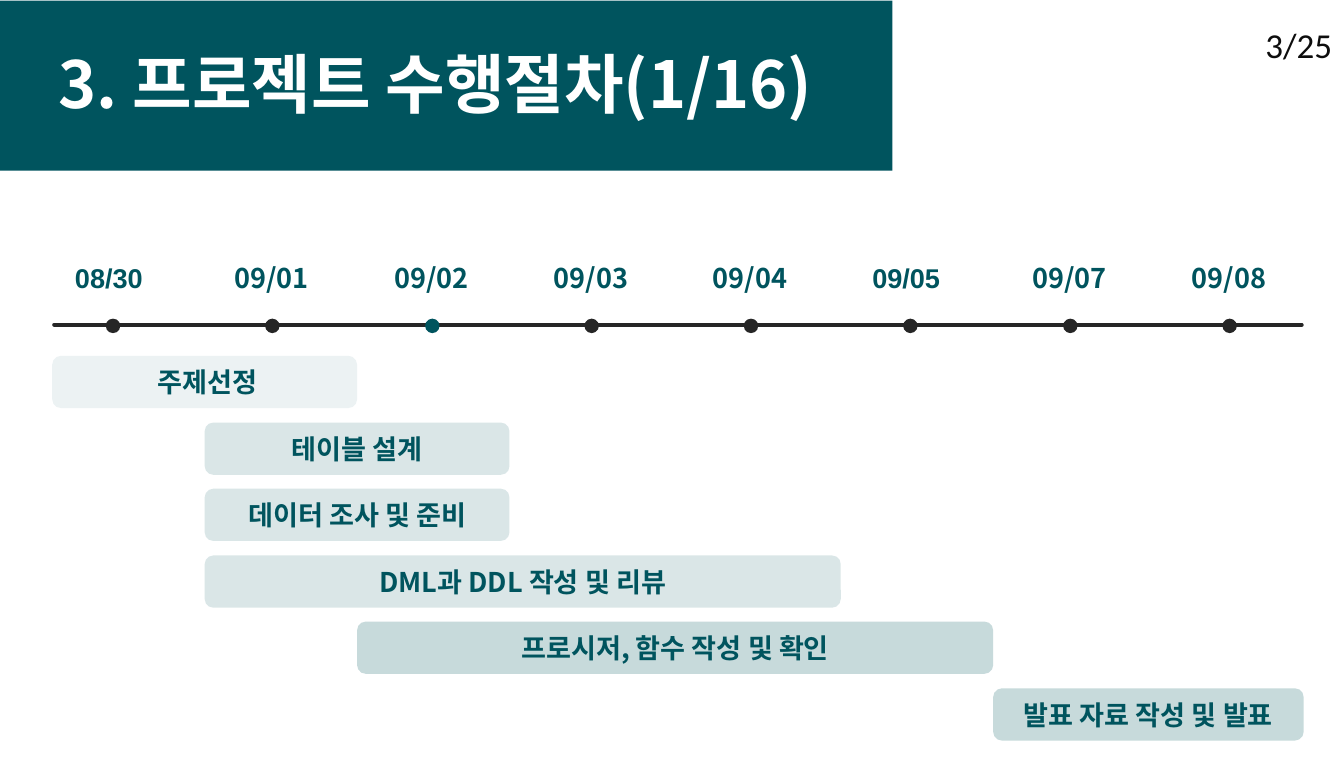
from lxml import etree
from pptx import Presentation
from pptx.dml.color import RGBColor
from pptx.enum.shapes import MSO_SHAPE
from pptx.enum.text import MSO_ANCHOR, PP_ALIGN
from pptx.oxml.ns import qn
from pptx.util import Pt

PX = 9144  # EMU per px, 100 px to the inch
RECT, ROUNDED, OVAL = MSO_SHAPE.RECTANGLE, MSO_SHAPE.ROUNDED_RECTANGLE, MSO_SHAPE.OVAL
LEFT, CENTER, RIGHT = PP_ALIGN.LEFT, PP_ALIGN.CENTER, PP_ALIGN.RIGHT
TOP, MIDDLE = MSO_ANCHOR.TOP, MSO_ANCHOR.MIDDLE

TEAL, BAR_TEAL, DARK, WHITE, INK = "00545E", "46858A", "262626", "FFFFFF", "0D0D0D"
NOTO, ARIAL, CALIBRI = "Noto Sans CJK KR", "Arial", "Calibri"

# Date, font, label width, dot colour
DATES = [
    ("08/30", ARIAL, 109, DARK),
    ("09/01", NOTO, 119, DARK),
    ("09/02", NOTO, 119, TEAL),
    ("09/03", NOTO, 119, DARK),
    ("09/04", NOTO, 119, DARK),
    ("09/05", ARIAL, 109, DARK),
    ("09/07", NOTO, 119, DARK),
    ("09/08", NOTO, 119, DARK),
]
FIRST_DOT, LAST_DOT = 168, 1941

# Task, left, width, opacity in percent
TASKS = [
    (" 주제선정", 83, 484, 10),
    ("테이블 설계", 325, 484, 20),
    ("데이터 조사 및 준비", 325, 484, 20),
    ("DML과 DDL 작성 및 리뷰", 325, 1010, 20),
    ("프로시저, 함수 작성 및 확인", 567, 1010, 30),
    ("발표 자료 작성 및 발표", 1577, 493, 30),
]
FIRST_BAR, LAST_BAR = 565, 1093


def color(hex_code):
    return RGBColor.from_string(hex_code)


def spread(first, last, index, count):
    """Place one of count evenly spaced items."""
    return round(first + (last - first) * index / (count - 1))


def write(frame, text, size, font, hex_code, bold=True, align=LEFT, anchor=TOP):
    frame.vertical_anchor = anchor
    paragraph = frame.paragraphs[0]
    paragraph.alignment = align
    run = paragraph.add_run()
    run.text = text
    run.font.size = Pt(size)
    run.font.bold = bold
    run.font.name = font
    run.font.color.rgb = color(hex_code)
    east_asian = etree.SubElement(run.font._element, qn("a:ea"))
    east_asian.set("typeface", font)


def add_block(slide, kind, left, top, width, height, fill, opacity=100):
    block = slide.shapes.add_shape(kind, left * PX, top * PX, width * PX, height * PX)
    block.shadow.inherit = False
    block.line.fill.background()
    block.fill.solid()
    block.fill.fore_color.rgb = color(fill)
    if opacity < 100:
        rgb = block.fill._xPr.find(qn("a:solidFill"))[0]
        etree.SubElement(rgb, qn("a:alpha")).set("val", str(opacity * 1000))
    return block


def add_label(slide, left, top, width, height, wrap=True, inset=True):
    box = slide.shapes.add_textbox(left * PX, top * PX, width * PX, height * PX)
    frame = box.text_frame
    frame.word_wrap = wrap
    if not inset:
        frame.margin_left = frame.margin_right = 0
        frame.margin_top = frame.margin_bottom = 0
    return frame


def add_date(slide, left, date, font, width, dot_color):
    add_block(slide, OVAL, left, 506, 23, 23, dot_color)
    label = add_label(slide, left - 49, 415, width, 52, wrap=False, inset=False)
    write(label, date, 31, font, TEAL)


def add_task(slide, top, task, left, width, opacity):
    bar = add_block(slide, ROUNDED, left, top, width, 83, BAR_TEAL, opacity)
    write(bar.text_frame, task, 31, NOTO, TEAL, align=CENTER, anchor=MIDDLE)


def main():
    deck = Presentation()
    deck.slide_width, deck.slide_height = 2134 * PX, 1202 * PX
    slide = deck.slides.add_slide(deck.slide_layouts[6])

    # Title band
    add_block(slide, RECT, 0, 1, 1417, 270, TEAL)
    title = add_label(slide, 93, 70, 2040, 125, inset=False)
    write(title, "3. 프로젝트 수행절차(1/16)", 74, NOTO, WHITE)

    # Timeline
    axis = add_block(slide, ROUNDED, 83, 513, 1987, 6, DARK)
    axis.adjustments[0] = 0.5
    for index, date in enumerate(DATES):
        add_date(slide, spread(FIRST_DOT, LAST_DOT, index, len(DATES)), *date)

    # Task bars
    for index, task in enumerate(TASKS):
        add_task(slide, spread(FIRST_BAR, LAST_BAR, index, len(TASKS)), *task)

    # Page number
    page = add_label(slide, 1850, 9, 275, 123)
    write(page, "3/25", 40, CALIBRI, INK, bold=False, align=RIGHT, anchor=MIDDLE)

    deck.save("out.pptx")


if __name__ == "__main__":
    main()
